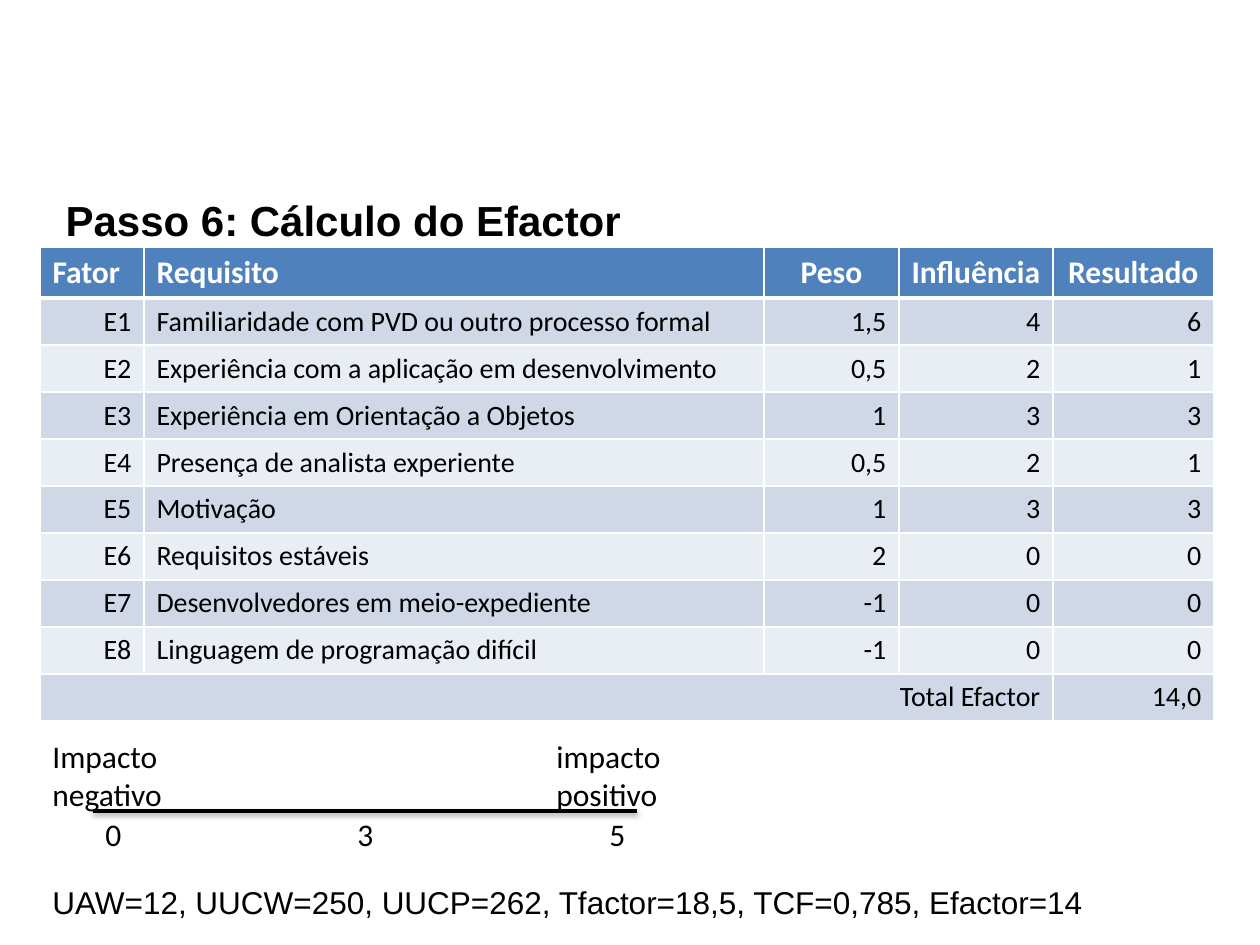
from lxml import etree
from pptx import Presentation
from pptx.dml.color import RGBColor
from pptx.enum.shapes import MSO_CONNECTOR
from pptx.enum.text import MSO_ANCHOR, MSO_AUTO_SIZE, PP_ALIGN
from pptx.oxml.ns import qn
from pptx.util import Emu, Inches, Pt

LEFT, CENTER, RIGHT, JUSTIFY = PP_ALIGN.LEFT, PP_ALIGN.CENTER, PP_ALIGN.RIGHT, PP_ALIGN.JUSTIFY
COLORS = {"black": "000000", "white": "FFFFFF", "header": "4F81BD",
          "odd": "D0D8E8", "even": "E9EDF4"}
PIXEL = 914400 // 126
TITLE_ONLY = 5

COLUMN_WIDTHS = [104, 620, 135, 154, 161]
HEADER_HEIGHT, ROW_HEIGHT = 51, 47
HEADERS = ["Fator", "Requisito", "Peso", "Influência", "Resultado"]
HEADER_ALIGNS = [LEFT, LEFT, CENTER, CENTER, CENTER]
BODY_ALIGNS = [RIGHT, LEFT, RIGHT, RIGHT, RIGHT]
FACTORS = [
    ("Familiaridade com PVD ou outro processo formal", "1,5", "4", "6"),
    ("Experiência com a aplicação em desenvolvimento", "0,5", "2", "1"),
    ("Experiência em Orientação a Objetos", "1", "3", "3"),
    ("Presença de analista experiente", "0,5", "2", "1"),
    ("Motivação", "1", "3", "3"),
    ("Requisitos estáveis", "2", "0", "0"),
    ("Desenvolvedores em meio-expediente", "-1", "0", "0"),
    ("Linguagem de programação difícil", "-1", "0", "0"),
]


def px(*lengths):
    """Turn pixel lengths into EMU."""
    return [Emu(length * PIXEL) for length in lengths]


def color(name):
    """Look up a named colour."""
    return RGBColor.from_string(COLORS[name])


def write(frame, text, font="Calibri", size=18, ink="black", bold=False,
          align=LEFT, after=None, tabs=0):
    """Write one paragraph per line of text, with tab stops one inch apart."""
    for index, line in enumerate(text.split("\n")):
        para = frame.add_paragraph() if index else frame.paragraphs[0]
        para.alignment = align
        if after is not None:
            para.space_after = Pt(after)
        if tabs:
            stops = etree.SubElement(para._p.get_or_add_pPr(), qn("a:tabLst"))
            for stop in range(1, tabs + 1):
                etree.SubElement(stops, qn("a:tab"), pos=str(Inches(stop)), algn="l")
        span = para.add_run()
        span.text = line
        span.font.name, span.font.size, span.font.bold = font, Pt(size), bold
        span.font.color.rgb = color(ink)


def add_text(shapes, box, text, **style):
    """Add a wrapping text box."""
    frame = shapes.add_textbox(*px(*box)).text_frame
    frame.word_wrap = True
    write(frame, text, **style)


def add_title(page, box):
    """Place the heading in the title placeholder."""
    title = page.shapes.title
    title.left, title.top, title.width, title.height = px(*box)
    frame = title.text_frame
    frame.word_wrap = True
    frame.auto_size = MSO_AUTO_SIZE.NONE
    frame.vertical_anchor = MSO_ANCHOR.TOP
    write(frame, "Passo 6: Cálculo do Efactor", font="Arial", size=24, bold=True)


def add_border(cell, side, points):
    """Draw one white cell edge."""
    edge = etree.SubElement(cell._tc.get_or_add_tcPr(), qn("a:ln" + side),
                            w=str(Pt(points)))
    fill = etree.SubElement(edge, qn("a:solidFill"))
    etree.SubElement(fill, qn("a:srgbClr"), val=COLORS["white"])


def add_factor_table(page, left, top):
    """Build the factor table with its header, banded rows and total."""
    rows = [HEADERS]
    rows += [(f"E{number}", *factor) for number, factor in enumerate(FACTORS, 1)]
    rows.append(("Total Efactor", "", "", "", "14,0"))
    height = HEADER_HEIGHT + ROW_HEIGHT * (len(rows) - 1)
    table = page.shapes.add_table(
        len(rows), len(HEADERS), *px(left, top, sum(COLUMN_WIDTHS), height)).table
    for column, width in zip(table.columns, px(*COLUMN_WIDTHS)):
        column.width = width
    last = len(rows) - 1
    table.cell(last, 0).merge(table.cell(last, 3))
    for r, values in enumerate(rows):
        header = r == 0
        table.rows[r].height = px(ROW_HEIGHT if r else HEADER_HEIGHT)[0]
        band = "header" if header else "odd" if r % 2 else "even"
        aligns = HEADER_ALIGNS if header else BODY_ALIGNS
        for c, value in enumerate(values):
            cell = table.cell(r, c)
            for side in "LRTB":
                thick = (header and side == "B") or (r == 1 and side == "T")
                add_border(cell, side, 3 if thick else 1)
            cell.fill.solid()
            cell.fill.fore_color.rgb = color(band)
            if value:
                write(cell.text_frame, value, size=18 if header else 16,
                      ink="white" if header else "black", bold=header, align=aligns[c])


def add_impact_scale(page, left, top):
    """Group the impact axis with its numbers and end labels."""
    shapes = page.shapes.add_group_shape().shapes
    axis = shapes.add_connector(
        MSO_CONNECTOR.STRAIGHT, *px(left + 53, top + 80, left + 597, top + 80))
    axis.line.color.rgb = color("black")
    axis.line.width = Pt(2)
    effects = etree.SubElement(axis._element.spPr, qn("a:effectLst"))
    shadow = etree.SubElement(effects, qn("a:outerShdw"), blurRad=str(Pt(3.1)),
                              dist=str(Pt(1.6)), dir="5400000", rotWithShape="0")
    tint = etree.SubElement(shadow, qn("a:srgbClr"), val=COLORS["black"])
    etree.SubElement(tint, qn("a:alpha"), val="38000")
    add_text(shapes, (left + 53, top + 78, 566, 50), "0\t\t3\t\t5", tabs=4)
    add_text(shapes, (left, top, 651, 89),
             "Impacto\t\t\t\timpacto\nnegativo\t\t\t\tpositivo", tabs=4)


deck = Presentation()
deck.slide_width, deck.slide_height = Inches(10), Inches(7.5)
page = deck.slides.add_slide(deck.slide_layouts[TITLE_ONLY])
add_title(page, (53, 188, 600, 63))
add_factor_table(page, 40, 247)
add_text(page.shapes, (40, 877, 1144, 50),
         "UAW=12, UUCW=250, UUCP=262, Tfactor=18,5, TCF=0,785, Efactor=14",
         font="Arial", align=JUSTIFY, after=9)
add_impact_scale(page, 40, 731)
deck.save("out.pptx")
